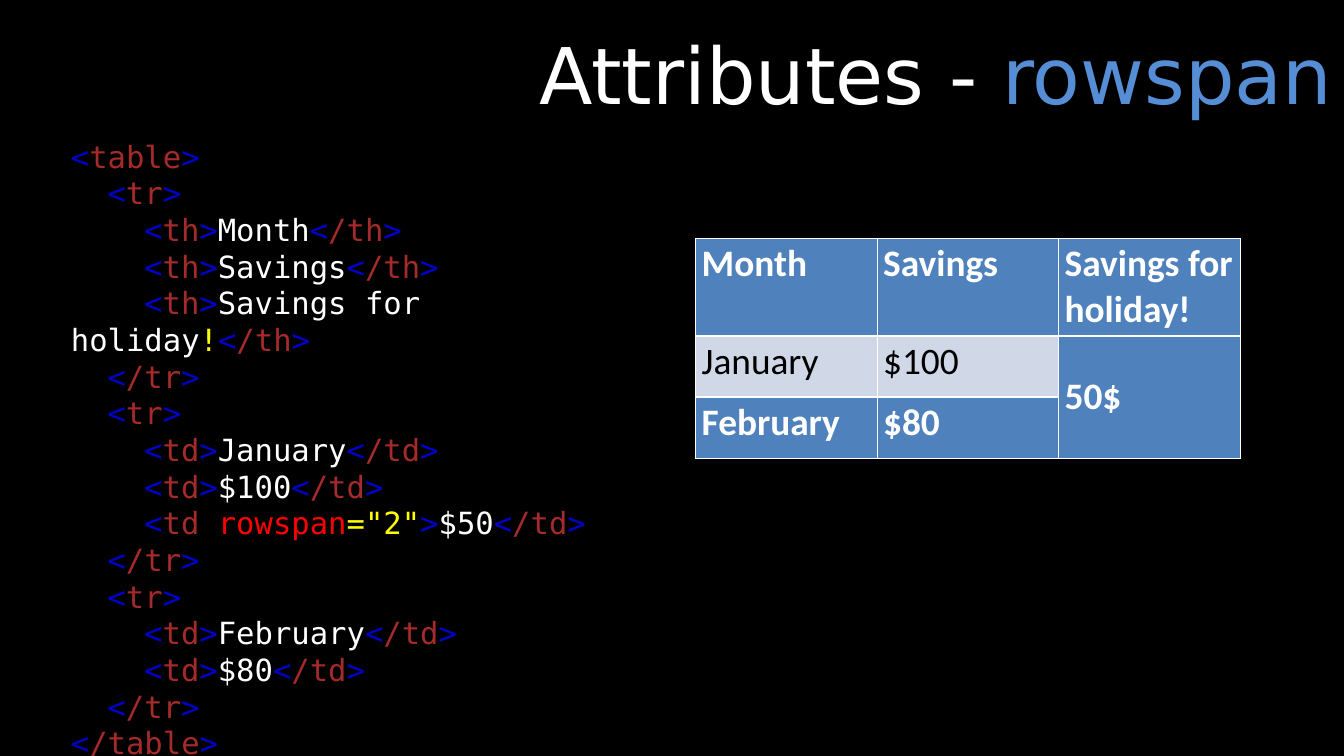
import pptx
import pptx.dml.color
import pptx.enum.shapes
import pptx.enum.text
import pptx.oxml
import pptx.util
from pptx.dml.color import RGBColor
from pptx.util import Inches

BLACK = RGBColor(0x00, 0x00, 0x00)
WHITE = RGBColor(0xFF, 0xFF, 0xFF)
BRACKET = RGBColor(0x00, 0x00, 0xCD)
TAG = RGBColor(0xA5, 0x2A, 0x2A)
ATTRIBUTE = RGBColor(0xFF, 0x00, 0x00)
YELLOW = RGBColor(0xFF, 0xFF, 0x00)
TITLE_BLUE = RGBColor(0x55, 0x8E, 0xD5)
CELL_BLUE = RGBColor(0x4F, 0x81, 0xBD)
CELL_PALE = RGBColor(0xD0, 0xD8, 0xE8)


def add_runs(p, pieces):
    """Add one coloured run to p for each (text, colour) that has text."""
    for text, color in pieces:
        if text:
            r = p.add_run()
            r.text = text
            r.font.color.rgb = color


def set_borders(cell, top, bottom):
    """Draw white cell borders; the sides are 1 pt wide."""
    tcPr = cell._tc.get_or_add_tcPr()
    widths = (("lnL", 1), ("lnR", 1), ("lnT", top), ("lnB", bottom))
    for i, (side, width) in enumerate(widths):
        tcPr.insert(i, pptx.oxml.parse_xml(
            f'<a:{side} xmlns:a="http://schemas.openxmlformats.org/drawingml/2006/main"'
            f' w="{pptx.util.Pt(width)}"><a:solidFill><a:srgbClr val="{WHITE}"/>'
            f'</a:solidFill></a:{side}>'))


prs = pptx.Presentation()
prs.slide_width, prs.slide_height = Inches(21.99), Inches(12.37)
s = prs.slides.add_slide(prs.slide_layouts[6])

# Black backdrop
sp = s.shapes.add_shape(pptx.enum.shapes.MSO_SHAPE.RECTANGLE, 0, 0,
                        prs.slide_width, prs.slide_height)
sp.shadow.inherit = False
sp.fill.solid()
sp.fill.fore_color.rgb = BLACK
sp.line.fill.background()

# Code listing: indent level, tag, text (None for a tag that stands alone)
code = [
    (0, "table", None),
    (1, "tr", None),
    (2, "th", "Month"),
    (2, "th", "Savings"),
    (2, "th", "Savings for holiday!"),
    (1, "/tr", None),
    (1, "tr", None),
    (2, "td", "January"),
    (2, "td", "$100"),
    (2, 'td rowspan="2"', "$50"),
    (1, "/tr", None),
    (1, "tr", None),
    (2, "td", "February"),
    (2, "td", "$80"),
    (1, "/tr", None),
    (0, "/table", None),
]
sp = s.shapes.add_textbox(Inches(1.16), Inches(2.25), Inches(9.42), Inches(9.69))
tf = sp.text_frame
tf.word_wrap = True
tf.margin_left = tf.margin_right = tf.margin_top = tf.margin_bottom = 0
for i, (level, tag, text) in enumerate(code):
    p = tf.add_paragraph() if i else tf.paragraphs[0]
    p.font.name = "DejaVu Sans Mono"
    p.font.size = pptx.util.Pt(36)
    p.line_spacing = pptx.util.Pt(43.2)
    p._p.get_or_add_pPr().set("indent", str(Inches(0.6 * level)))
    name, space, attribute = tag.partition(" ")
    key, equals, value = attribute.partition("=")
    add_runs(p, [("<", BRACKET), (name + space, TAG), (key, ATTRIBUTE),
                 (equals + value, YELLOW), (">", BRACKET)])
    if text:
        words, mark, _ = text.partition("!")
        add_runs(p, [(words, WHITE), (mark, YELLOW), ("<", BRACKET),
                     ("/" + name, TAG), (">", BRACKET)])

# Title
sp = s.shapes.add_textbox(Inches(5.85), Inches(0.43), Inches(15.95), Inches(1.55))
tf = sp.text_frame
tf.word_wrap = True
tf.margin_left = tf.margin_right = tf.margin_top = tf.margin_bottom = 0
p = tf.paragraphs[0]
p.alignment = pptx.enum.text.PP_ALIGN.RIGHT
p.font.name = "DejaVu Sans"
p.font.size = pptx.util.Pt(92)
add_runs(p, [("Attributes - ", WHITE), ("rowspan", TITLE_BLUE)])

# Savings table
savings = [
    ["Month", "Savings", "Savings for holiday!"],
    ["January", "$100", "50$"],
    ["February", "$80", ""],
]
row_heights = [1.6, 1, 1]
border_widths = [(1, 3), (1, 1), (3, 1)]
table = s.shapes.add_table(3, 3, Inches(11.38), Inches(3.9),
                           Inches(8.91), Inches(3.6)).table
for row, height in zip(table.rows, row_heights):
    row.height = Inches(height)
for r, texts in enumerate(savings):
    for c, text in enumerate(texts):
        cell = table.cell(r, c)
        pale = r == 1 and c < 2
        cell.fill.solid()
        cell.fill.fore_color.rgb = CELL_PALE if pale else CELL_BLUE
        set_borders(cell, *border_widths[r])
        p = cell.text_frame.paragraphs[0]
        p.font.name = "Calibri"
        p.font.size = pptx.util.Pt(44)
        p.font.bold = not pale
        add_runs(p, [(text, BLACK if pale else WHITE)])
holiday = table.cell(1, 2)
holiday.merge(table.cell(2, 2))
holiday.vertical_anchor = pptx.enum.text.MSO_ANCHOR.MIDDLE

prs.save("out.pptx")
